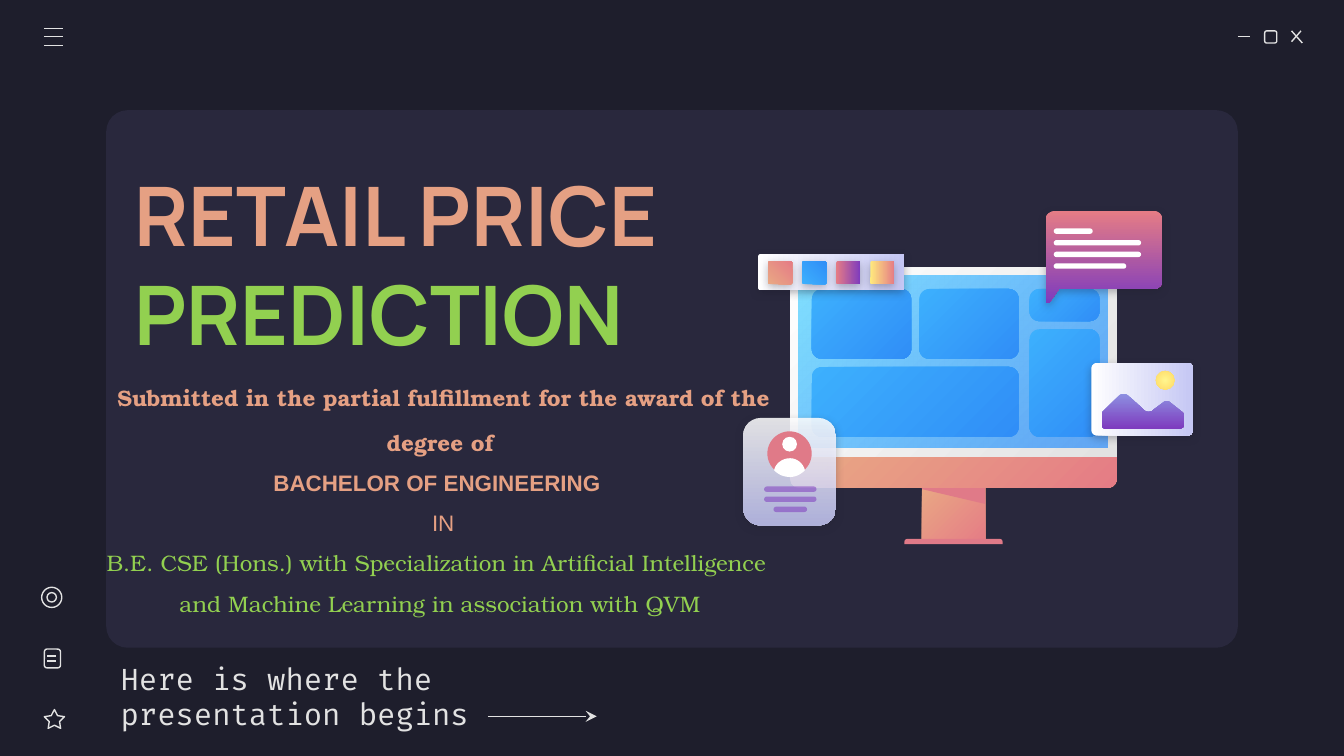
from dataclasses import dataclass
from typing import NamedTuple, Optional

from lxml.etree import SubElement
from pptx import Presentation
from pptx.dml.color import RGBColor
from pptx.enum.shapes import MSO_CONNECTOR, MSO_SHAPE
from pptx.enum.text import MSO_ANCHOR, MSO_AUTO_SIZE, PP_ALIGN
from pptx.oxml.ns import qn
from pptx.util import Inches, Pt

NIGHT = RGBColor(0x1E, 0x1E, 0x2C)
CARD = RGBColor(0x29, 0x28, 0x3D)
PALE = RGBColor(0xE2, 0xE2, 0xE2)
WHITE = RGBColor(0xFF, 0xFF, 0xFF)
PEACH = RGBColor(0xE9, 0xA9, 0x84)
TEXT_PEACH = RGBColor(0xE5, 0xA0, 0x83)
GREEN = RGBColor(0x92, 0xD0, 0x50)
CORAL = RGBColor(0xE5, 0x7C, 0x85)
ROSE = RGBColor(0xE0, 0x7A, 0x88)
PURPLE = RGBColor(0x7E, 0x3B, 0xBE)
VIOLET = RGBColor(0x8D, 0x90, 0xE1)
LAVENDER = RGBColor(0xC5, 0xC7, 0xF4)
CYAN = RGBColor(0x80, 0xDF, 0xFF)
AZURE = RGBColor(0x31, 0x8F, 0xFA)
SKY = RGBColor(0x3D, 0xB0, 0xFD)
BLUE = RGBColor(0x30, 0x8E, 0xF7)
YELLOW = RGBColor(0xFF, 0xEA, 0x7D)
LEMON = RGBColor(0xFF, 0xF6, 0x8E)
GOLD = RGBColor(0xFF, 0xD9, 0x66)


class Box(NamedTuple):
    left: float
    top: float
    width: float
    height: float


@dataclass(frozen=True)
class Paint:
    start: RGBColor
    end: Optional[RGBColor] = None
    angle: int = 45
    alphas: tuple = (100, 100)
    radial: bool = False


SUNSET = Paint(PEACH, CORAL)
TILE_BLUE = Paint(SKY, BLUE)
BERRY = Paint(CORAL, PURPLE, 90)
PAPER = Paint(WHITE, LAVENDER, 90)
SOLID_WHITE = Paint(WHITE)
SOLID_ROSE = Paint(ROSE)
RULE = Paint(PURPLE, alphas=(54,))


def finish(shape, paint: Optional[Paint], shadow: bool = False) -> None:
    """Fill a shape, or outline it when there is no paint."""
    fill = shape.fill
    if paint is None:
        fill.background()
        shape.line.color.rgb = PALE
        shape.line.width = Pt(0.75)
    else:
        shape.line.fill.background()
        if paint.end is None:
            fill.solid()
            fill.fore_color.rgb = paint.start
        else:
            fill.gradient()
            fill.gradient_angle = (360 - paint.angle) % 360
            for stop, color in zip(fill.gradient_stops, (paint.start, paint.end)):
                stop.color.rgb = color
        properties = shape._element.spPr
        for color, alpha in zip(properties.iter(qn("a:srgbClr")), paint.alphas):
            if alpha < 100:
                SubElement(color, qn("a:alpha"), val=str(alpha * 1000))
        if paint.radial:
            gradient = properties.find(qn("a:gradFill"))
            gradient.remove(gradient.find(qn("a:lin")))
            circle = SubElement(gradient, qn("a:path"), path="circle")
            SubElement(circle, qn("a:fillToRect"), l="50000", t="50000", r="50000", b="50000")
    shape.shadow.inherit = False
    if shadow:
        effects = shape._element.spPr.find(qn("a:effectLst"))
        outer = SubElement(effects, qn("a:outerShdw"), blurRad=str(Pt(4.5)), dist=str(Pt(1.5)),
                           dir="5400000", algn="bl", rotWithShape="0")
        SubElement(SubElement(outer, qn("a:srgbClr"), val=str(NIGHT)), qn("a:alpha"), val="30000")


def preset(shapes, kind, box: Box, paint: Optional[Paint] = None,
           adjust: tuple = (), shadow: bool = False, rotation: int = 0) -> None:
    shape = shapes.add_shape(kind, *map(Inches, box))
    for index, value in enumerate(adjust):
        shape.adjustments[index] = value
    shape.rotation = rotation
    finish(shape, paint, shadow)


def rounded(shapes, box: Box, radius: float, paint: Optional[Paint] = None,
            shadow: bool = False, rotation: int = 0) -> None:
    adjust = min(0.5, radius / min(box.width, box.height))
    preset(shapes, MSO_SHAPE.ROUNDED_RECTANGLE, box, paint, (adjust,), shadow, rotation)


def outline(shapes, start: tuple, steps: list, paint: Paint, shadow: bool = False) -> None:
    """Two numbers in a step are a corner, six a Bézier curve."""
    points = [start]
    for step in steps:
        if len(step) == 2:
            points.append(step)
            continue
        curve = [points[-1], step[:2], step[2:4], step[4:]]
        for t in (n / 8 for n in range(1, 9)):
            weights = ((1 - t) ** 3, 3 * t * (1 - t) ** 2, 3 * t * t * (1 - t), t ** 3)
            points.append(tuple(sum(w * p[axis] for w, p in zip(weights, curve)) for axis in (0, 1)))
    corners = [(Inches(x), Inches(y)) for x, y in points]
    builder = shapes.build_freeform(*corners[0])
    builder.add_line_segments(corners[1:], close=True)
    finish(builder.convert_to_shape(), paint, shadow)


def line(shapes, x1: float, y1: float, x2: float, y2: float, arrow: bool = False) -> None:
    connector = shapes.add_connector(MSO_CONNECTOR.STRAIGHT, *map(Inches, (x1, y1, x2, y2)))
    connector.line.color.rgb = PALE
    connector.line.width = Pt(0.75)
    if arrow:
        SubElement(connector.line._get_or_add_ln(), qn("a:tailEnd"), type="stealth")
    SubElement(connector._element.spPr, qn("a:effectLst"))


def text_frame(shapes, box: Box, inset: float, anchor=MSO_ANCHOR.MIDDLE):
    frame = shapes.add_textbox(*map(Inches, box)).text_frame
    frame.word_wrap = True
    frame.vertical_anchor = anchor
    frame.margin_left = frame.margin_right = frame.margin_top = frame.margin_bottom = Inches(inset)
    return frame


def style(font, size: float, name: str, color: RGBColor, bold: bool = False) -> None:
    font.size, font.name, font.bold = Pt(size), name, bold
    font.color.rgb = color


# Widescreen 16:9 slide
prs = Presentation()
prs.slide_width, prs.slide_height = Inches(10), Inches(10 * 9 / 16)
slide = prs.slides.add_slide(prs.slide_layouts[6])
slide.background.fill.solid()
slide.background.fill.fore_color.rgb = NIGHT
canvas = slide.shapes


def group():
    return canvas.add_group_shape().shapes


# Card and window controls
rounded(canvas, Box(0.79, 0.82, 8.42, 4), 0.16, Paint(CARD))
controls = group()
line(controls, 9.21, 0.27, 9.3, 0.27)
rounded(controls, Box(9.41, 0.23, 0.09, 0.09), 0.015)
line(controls, 9.61, 0.23, 9.69, 0.32)
line(controls, 9.68, 0.23, 9.61, 0.31)

# Subtitle
subtitle = text_frame(canvas, Box(0.8, 4.95, 3.24, 0.46), 0.1).paragraphs[0]
subtitle.text = "Here is where the presentation begins"
style(subtitle.font, 16, "Fira Code", PALE)

# Monitor
monitor = group()
ROUND_TOP = MSO_SHAPE.ROUND_2_SAME_RECTANGLE
preset(monitor, MSO_SHAPE.RECTANGLE, Box(6.86, 3.61, 0.47, 0.43), SUNSET)
preset(monitor, ROUND_TOP, Box(6.73, 4.01, 0.73, 0.04), SOLID_ROSE, (0.5, 0))
outline(monitor, (6.86, 3.61), [(6.86, 3.64), (7.33, 3.75), (7.33, 3.61)], SOLID_ROSE)
preset(monitor, ROUND_TOP, Box(5.88, 3.39, 2.43, 0.24), SUNSET, (0, 0.27))
preset(monitor, ROUND_TOP, Box(5.88, 1.99, 2.43, 1.41), Paint(WHITE, PALE), (0.04, 0))
preset(monitor, MSO_SHAPE.RECTANGLE, Box(5.94, 2.05, 2.3, 1.28), Paint(CYAN, AZURE, alphas=(100, 72)))
for tile in (Box(6.04, 2.15, 0.74, 0.52), Box(6.04, 2.73, 1.54, 0.52), Box(6.84, 2.15, 0.74, 0.52),
             Box(7.66, 2.15, 0.52, 0.24), Box(7.66, 2.45, 0.52, 0.8)):
    rounded(monitor, tile, 0.075, TILE_BLUE)

# Speech bubble
bubble = group()
outline(bubble, (7.85, 1.57), [
    (7.81, 1.57, 7.78, 1.6, 7.78, 1.64), (7.78, 2.24), (7.78, 2.25, 7.8, 2.26, 7.81, 2.25),
    (7.88, 2.15), (8.59, 2.15), (8.62, 2.15, 8.65, 2.12, 8.65, 2.09),
    (8.65, 1.64), (8.65, 1.6, 8.62, 1.57, 8.59, 1.57)], BERRY, shadow=True)
for row, width in enumerate((0.29, 0.65, 0.65, 0.54)):
    rounded(bubble, Box(7.84, 1.7 + 0.26 * row / 3, width, 0.04), 0.02, SOLID_WHITE)

# Menu icon
menu = group()
for y in (0.21, 0.34, 0.27):
    line(menu, 0.33, y, 0.47, y)

# Profile card
profile = group()
rounded(profile, Box(5.53, 3.11, 0.69, 0.8), 0.13, Paint(WHITE, LAVENDER, 90, (86, 86)), shadow=True)
preset(profile, MSO_SHAPE.OVAL, Box(5.71, 3.21, 0.33, 0.33), SOLID_ROSE)
preset(profile, MSO_SHAPE.OVAL, Box(5.82, 3.25, 0.11, 0.11), SOLID_WHITE)
outline(profile, (5.88, 3.41), [
    (5.82, 3.41, 5.77, 3.45, 5.76, 3.5), (5.79, 3.53, 5.83, 3.55, 5.88, 3.55),
    (5.92, 3.55, 5.96, 3.53, 5.99, 3.5), (5.98, 3.45, 5.93, 3.41, 5.88, 3.41)], SOLID_WHITE)
for row, width in enumerate((0.39, 0.39, 0.25)):
    rounded(profile, Box(5.88 - width / 2, 3.62 + 0.15 * row / 2, width, 0.04), 0.02, RULE)

# Photo card
photo = group()
rounded(photo, Box(8.23, 2.59, 0.54, 0.76), 0.04, PAPER, shadow=True, rotation=270)
outline(photo, (8.36, 2.93), [
    (8.35, 2.93, 8.34, 2.93, 8.33, 2.94), (8.21, 3.06), (8.2, 3.07, 8.2, 3.07, 8.2, 3.08),
    (8.2, 3.16), (8.2, 3.18, 8.21, 3.19, 8.23, 3.19), (8.77, 3.19),
    (8.79, 3.19, 8.81, 3.18, 8.81, 3.16), (8.81, 3.09), (8.81, 3.08, 8.8, 3.07, 8.8, 3.07),
    (8.7, 2.99), (8.68, 2.98, 8.66, 2.99, 8.65, 3), (8.57, 3.06),
    (8.55, 3.07, 8.53, 3.07, 8.51, 3.05), (8.39, 2.94), (8.38, 2.93, 8.37, 2.93, 8.36, 2.93)],
    Paint(VIOLET, PURPLE, 90))
preset(photo, MSO_SHAPE.OVAL, Box(8.6, 2.76, 0.14, 0.14), Paint(LEMON, GOLD, radial=True))

# Colour swatches
palette = group()
rounded(palette, Box(6.05, 1.48, 0.27, 1.09), 0.02, PAPER, shadow=True, rotation=270)
for column, paint in enumerate((SUNSET, TILE_BLUE, BERRY, Paint(YELLOW, CORAL, 90))):
    rounded(palette, Box(5.72 + 0.76 * column / 3, 1.94, 0.17, 0.18), 0.01, paint, True, 270)

# Side icons
icons = group()
preset(icons, MSO_SHAPE.STAR_5_POINT, Box(0.33, 5.28, 0.15, 0.14), adjust=(0.254,))
rounded(icons, Box(0.33, 4.83, 0.12, 0.14), 0.02)
for y in (4.88, 4.92):
    line(icons, 0.35, y, 0.42, y)
preset(icons, MSO_SHAPE.OVAL, Box(0.31, 4.37, 0.15, 0.15))
preset(icons, MSO_SHAPE.OVAL, Box(0.35, 4.41, 0.07, 0.07))
line(canvas, 3.63, 5.33, 4.44, 5.33, arrow=True)

# Title
title = text_frame(canvas, Box(1, 1.08, 4.47, 1.76), 0).paragraphs[0]
for words, color in (("RETAIL PRICE ", TEXT_PEACH), ("PREDICTION", GREEN)):
    if title.runs:
        title.add_line_break()
    run = title.add_run()
    run.text = words
    run.font.color.rgb = color
title.font.size, title.font.name, title.font.bold = Pt(44), "Manrope", True

# Submission details
details = text_frame(canvas, Box(0.27, 2.44, 6.01, 2.19), 0.05, MSO_ANCHOR.TOP)
details.margin_left = details.margin_right = Inches(0.1)
details.auto_size = MSO_AUTO_SIZE.SHAPE_TO_FIT_TEXT
SERIF = "TeX Gyre Bonum"
for index, (words, font_name, color, bold) in enumerate((
        ("Submitted in the partial fulfillment for the award of the ", SERIF, TEXT_PEACH, True),
        ("degree of", SERIF, TEXT_PEACH, True),
        ("BACHELOR OF ENGINEERING ", "Arial", TEXT_PEACH, True),
        (" IN", "Arial", TEXT_PEACH, False),
        ("B.E. CSE (Hons.) with Specialization in Artificial Intelligence ", SERIF, GREEN, False),
        ("and Machine Learning in association with QVM", SERIF, GREEN, False))):
    paragraph = details.add_paragraph() if index else details.paragraphs[0]
    paragraph.alignment = PP_ALIGN.CENTER
    paragraph.line_spacing = 1.5
    if index == 0:
        lead = paragraph.add_run()
        lead.text = " "
        lead.font.size = Pt(24)
    paragraph.add_run().text = words
    style(paragraph.font, 12, font_name, color, bold)

prs.save("out.pptx")
